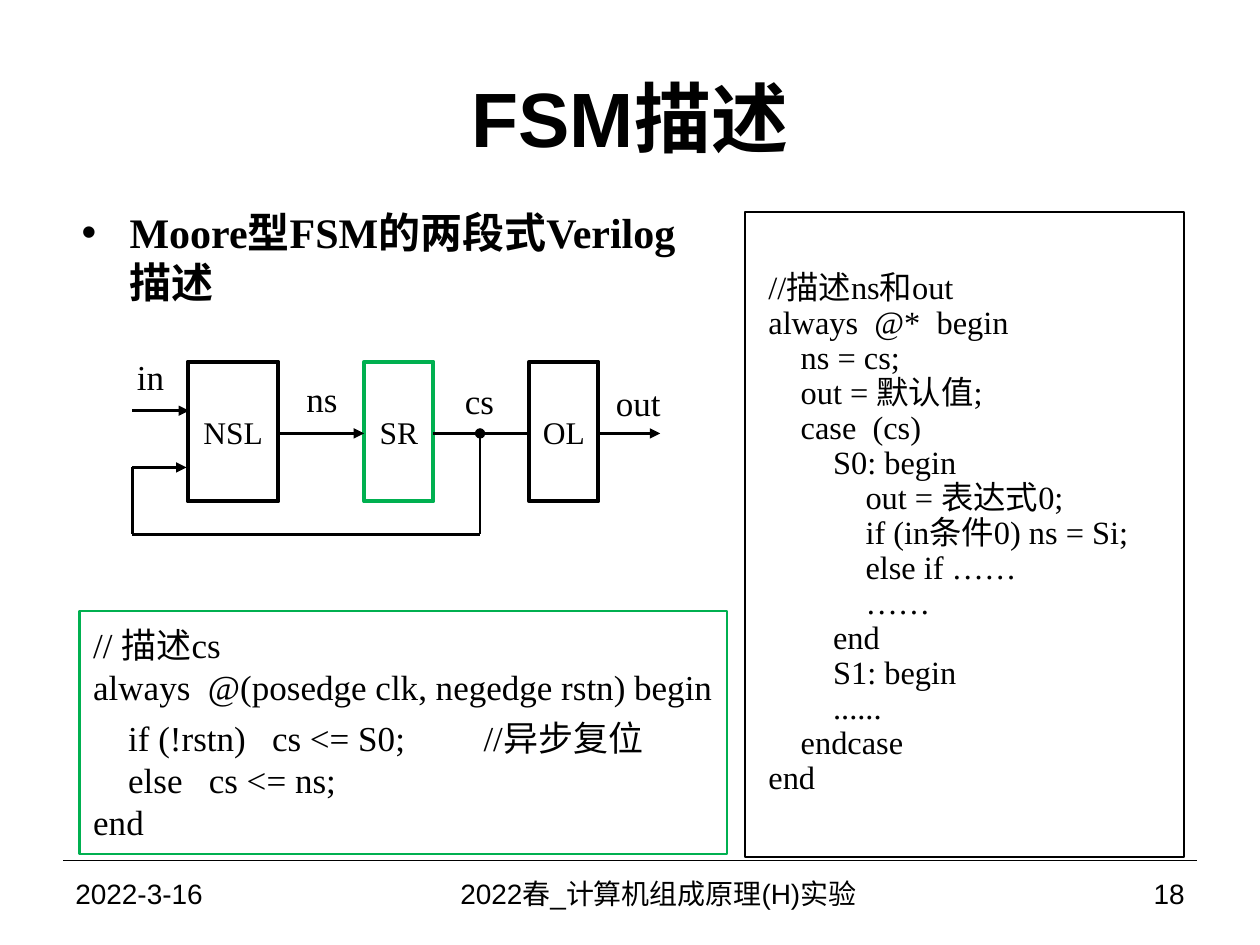
from lxml import etree
from pptx import Presentation
from pptx.dml.color import RGBColor
from pptx.enum.shapes import MSO_CONNECTOR, MSO_SHAPE
from pptx.enum.text import MSO_ANCHOR, PP_ALIGN
from pptx.oxml.ns import qn
from pptx.util import Inches, Pt

BLACK = RGBColor(0, 0, 0)
WHITE = RGBColor(255, 255, 255)
GREEN = RGBColor(0, 0xB0, 0x50)
LEFT, CENTER, RIGHT = PP_ALIGN.LEFT, PP_ALIGN.CENTER, PP_ALIGN.RIGHT
TOP, MIDDLE = MSO_ANCHOR.TOP, MSO_ANCHOR.MIDDLE
RECTANGLE, STRAIGHT = MSO_SHAPE.RECTANGLE, MSO_CONNECTOR.STRAIGHT
SERIF, SANS = "Times New Roman", "Arial"

TITLE = "FSM描述"
BULLET = "Moore型FSM的两段式Verilog描述"
STATE_CODE = [
    (0, "// 描述cs"),
    (0, "always  @(posedge clk, negedge rstn) begin"),
    (1, "if (!rstn)   cs <= S0;\t//异步复位"),
    (1, "else   cs <= ns;"),
    (0, "end"),
]
LOGIC_CODE = [
    (0, "//描述ns和out"),
    (0, "always  @*  begin"),
    (1, "ns = cs;"),
    (1, "out = 默认值;"),
    (1, "case  (cs)"),
    (2, "S0: begin"),
    (3, "out = 表达式0;"),
    (3, "if (in条件0) ns = Si;"),
    (3, "else if ……"),
    (3, "……"),
    (2, "end"),
    (2, "S1: begin"),
    (2, "......"),
    (1, "endcase"),
    (0, "end"),
]
BLOCK_TOP, BLOCK_HEIGHT = 2.87, 1.11
BLOCKS = [
    ("OL", 4.2, 0.55, BLACK),
    ("SR", 2.89, 0.55, GREEN),
    ("NSL", 1.49, 0.72, BLACK),
]
SIGNALS = [
    ("in", 0.99, 2.77, 0.41),
    ("ns", 2.33, 2.95, 0.45),
    ("cs", 3.59, 2.96, 0.43),
    ("out", 4.79, 2.98, 0.55),
]
ARROW, DOT = ("tailEnd", "triangle"), ("headEnd", "oval")
INPUT_X, TAP_X = 1.05, 3.81
INPUT_Y, SIGNAL_Y, RETURN_Y, LOOP_Y = 3.26, 3.44, 3.71, 4.24
WIRES = [
    (INPUT_X, INPUT_Y, 1.5, INPUT_Y, ARROW),
    (INPUT_X, RETURN_Y, 1.48, RETURN_Y, ARROW),
    (2.21, SIGNAL_Y, 2.89, SIGNAL_Y, ARROW),
    (3.44, SIGNAL_Y, 4.2, SIGNAL_Y, None),
    (4.74, SIGNAL_Y, 5.24, SIGNAL_Y, ARROW),
    (TAP_X, SIGNAL_Y, TAP_X, LOOP_Y, DOT),
    (INPUT_X, LOOP_Y, TAP_X, LOOP_Y, None),
    (INPUT_X, RETURN_Y, INPUT_X, LOOP_Y, None),
]
FOOTERS = [
    ("2022-3-16", 0.5, 2.33, LEFT),
    ("2022春_计算机组成原理(H)实验", 2.81, 4.83, CENTER),
    ("18", 7.75, 1.75, RIGHT),
]


def place(shape, left, top, width, height):
    shape.left, shape.top = Inches(left), Inches(top)
    shape.width, shape.height = Inches(width), Inches(height)


def set_margins(frame, side, edge):
    frame.margin_left = frame.margin_right = Inches(side)
    frame.margin_top = frame.margin_bottom = Inches(edge)


def format_para(para, size, font, align=LEFT, bold=False):
    para.alignment = align
    for span in para.runs:
        span.font.size = Pt(size)
        span.font.name = font
        span.font.bold = bold
        span.font.color.rgb = BLACK


def write(shape, text, size, font, align=LEFT, anchor=MIDDLE, wrap=True, bold=False):
    frame = shape.text_frame
    frame.word_wrap = wrap
    frame.vertical_anchor = anchor
    frame.text = text
    format_para(frame.paragraphs[0], size, font, align, bold)
    return frame


def add_label(left, top, width, height, *text, **options):
    box = page.shapes.add_textbox(
        Inches(left), Inches(top), Inches(width), Inches(height))
    return write(box, *text, **options)


def add_box(left, top, width, height, color, weight, fill=None):
    box = page.shapes.add_shape(
        RECTANGLE, Inches(left), Inches(top), Inches(width), Inches(height))
    box.shadow.inherit = False
    if fill is None:
        box.fill.background()
    else:
        box.fill.solid()
        box.fill.fore_color.rgb = fill
    box.line.color.rgb = color
    box.line.width = Pt(weight)
    return box


def add_line(x1, y1, x2, y2, weight, end=None):
    line = page.shapes.add_connector(
        STRAIGHT, Inches(x1), Inches(y1), Inches(x2), Inches(y2))
    line.line.color.rgb = BLACK
    line.line.width = Pt(weight)
    properties = line._element.spPr
    if end:
        tag, kind = end
        etree.SubElement(properties.find(qn("a:ln")), qn("a:" + tag), type=kind)
    etree.SubElement(properties, qn("a:effectLst"))


def write_code(box, lines, size, spacing):
    frame = box.text_frame
    frame.word_wrap = True
    frame.vertical_anchor = MIDDLE
    frame.text = "\n".join(text for level, text in lines)
    for para, (level, text) in zip(frame.paragraphs, lines):
        format_para(para, size, SERIF)
        para.line_spacing = spacing
        margin = Inches(0.09) + level * Pt(size)
        para._p.get_or_add_pPr().set("marL", str(margin))
    return frame


deck = Presentation()
deck.slide_width, deck.slide_height = Inches(10), Inches(7.5)
page = deck.slides.add_slide(deck.slide_layouts[5])

add_line(0.5, 6.83, 9.5, 6.83, 0.75)
title = page.shapes.title
place(title, 0.5, 0.3, 9, 1.25)
write(title, TITLE, 44, SANS, CENTER, bold=True)

bullet = add_label(0.55, 1.59, 4.96, 0.94, BULLET, 24, SERIF, anchor=TOP, bold=True)
bullet_para = bullet.paragraphs[0]
bullet_para.space_before = Pt(6)
bullet_format = bullet_para._p.get_or_add_pPr()
bullet_format.set("marL", str(Inches(0.38)))
bullet_format.set("indent", str(-Inches(0.38)))
etree.SubElement(bullet_format, qn("a:buFont"), typeface=SANS)
etree.SubElement(bullet_format, qn("a:buChar"), char="•")

state_box = add_box(0.63, 4.85, 5.14, 1.93, GREEN, 1.5)
state_code = write_code(state_box, STATE_CODE, 20, 1.0)
set_margins(state_code, 0.02, 0.03)
state_code.paragraphs[1].space_after = Pt(5)
reset_format = state_code.paragraphs[2]._p.get_or_add_pPr()
tab_list = etree.SubElement(reset_format, qn("a:tabLst"))
etree.SubElement(tab_list, qn("a:tab"), pos=str(Inches(2.82)), algn="l")

logic_box = add_box(5.91, 1.68, 3.49, 5.12, BLACK, 1)
write_code(logic_box, LOGIC_CODE, 18.5, 0.9)

for name, left, width, color in BLOCKS:
    block = add_box(left, BLOCK_TOP, width, BLOCK_HEIGHT, color, 2.25, WHITE)
    set_margins(write(block, name, 18, SERIF, CENTER, wrap=False), 0, 0)

for x1, y1, x2, y2, end in WIRES:
    add_line(x1, y1, x2, y2, 1.5, end)

for name, left, top, width in SIGNALS:
    signal = add_label(
        left, top, width, 0.44, name, 20, SERIF, CENTER, TOP, wrap=False)
    set_margins(signal, 0, 0.05)

for text, left, width, align in FOOTERS:
    add_label(left, 6.83, width, 0.52, text, 16, SANS, align)

deck.save("out.pptx")
